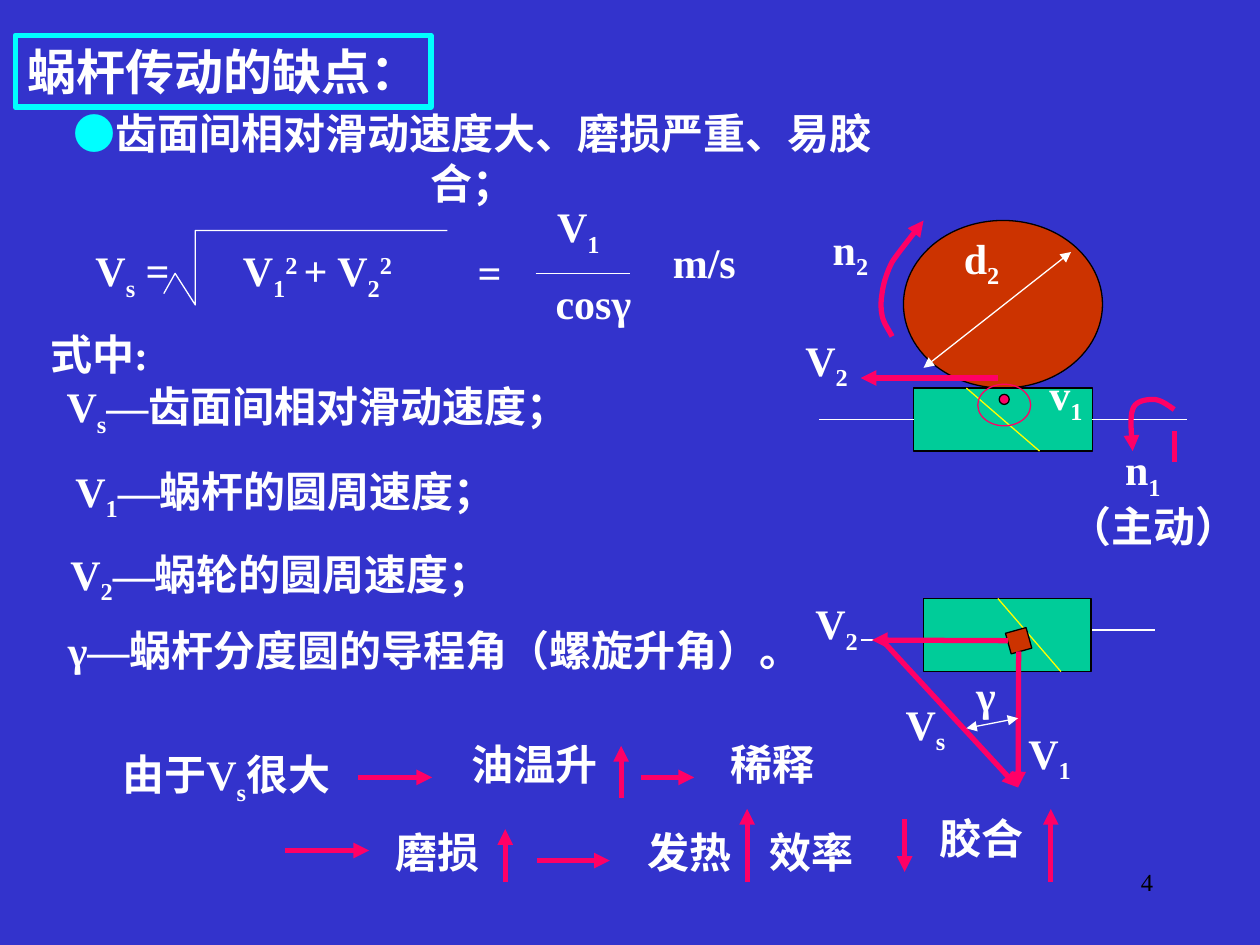
"""Build the slide on the drawbacks of worm gearing."""
from lxml import etree
from pptx import Presentation
from pptx.dml.color import RGBColor
from pptx.enum.shapes import MSO_CONNECTOR, MSO_SHAPE
from pptx.enum.text import MSO_ANCHOR, MSO_AUTO_SIZE, PP_ALIGN
from pptx.oxml.ns import qn
from pptx.util import Inches, Pt

LEFT, CENTER, RIGHT = PP_ALIGN.LEFT, PP_ALIGN.CENTER, PP_ALIGN.RIGHT
TOP, MIDDLE = MSO_ANCHOR.TOP, MSO_ANCHOR.MIDDLE
RECT, OVAL = MSO_SHAPE.RECTANGLE, MSO_SHAPE.OVAL
STRAIGHT = MSO_CONNECTOR.STRAIGHT
NO_FIT = MSO_AUTO_SIZE.NONE

THEME = {
    "font": "Times New Roman",
    "title": 28, "body": 24, "number": 14,
    "thin": 0.75, "thick": 3,
    "back": "3333CC", "white": "FFFFFF", "black": "000000", "cyan": "00FFFF",
    "pink": "FF0066", "yellow": "FFFF00", "wheel": "CC3300", "worm": "00CC99",
}
BASELINES = {"_": "-25000", "^": "30000"}

TITLE = "蜗杆传动的缺点："
TITLE_BOX = (0.12, 0.28, 3.3, 0.57)
DRAWBACK = "齿面间相对滑动速度大、磨损严重、易胶合；"
DRAWBACK_BOX = (0.17, 1, 7.16, 0.5)
PAGE_NUMBER = "4"
PAGE_NUMBER_BOX = (7.17, 6.83, 2.08, 0.5)

LABELS = [
    ((7.55, 1.79, 0.48, 0.56), ["d", "_2"]),
    ((8.83, 3.47, 0.48, 0.56), ["n", "_1"]),
    ((8.39, 3.92, 1.53, 0.5), ["（主动）"]),
    ((6.51, 1.72, 0.48, 0.56), ["n", "_2"]),
    ((6.29, 2.6, 0.54, 0.56), ["V", "_2"]),
    ((8.23, 2.87, 0.46, 0.56), ["v", "_1"]),
    ((6.37, 4.69, 0.54, 0.56), ["V", "_2"]),
    ((8.06, 5.72, 0.54, 0.56), ["V", "_1"]),
    ((7.09, 5.49, 0.51, 0.56), ["V", "_s"]),
    ((7.65, 5.26, 0.35, 0.5), ["γ"]),
    ((3.69, 1.91, 0.39, 0.5), ["="]),
    ((4.32, 1.54, 0.54, 0.56), ["V", "_1"]),
    ((4.31, 2.15, 0.8, 0.5), ["cosγ"]),
    ((5.24, 1.83, 0.7, 0.5), ["m/s"]),
    ((0.79, 5.89, 2.01, 0.56), ["由于V", "_s", "很大"]),
    ((3.64, 5.81, 1.2, 0.5), ["油温升"]),
    ((5.7, 5.81, 0.86, 0.5), ["稀释"]),
    ((3.04, 6.51, 0.86, 0.5), ["磨损"]),
    ((5.04, 6.51, 0.86, 0.5), ["发热"]),
    ((6.01, 6.51, 0.86, 0.5), ["效率"]),
    ((7.36, 6.4, 0.86, 0.5), ["胶合"]),
]
STATEMENTS = [
    ((0.66, 1.89, 1, 0.56), ["V", "_s", " ="]),
    ((1.83, 1.89, 1.6, 0.56), ["V", "_1", "^2 ", "+ V", "_2", "^2"]),
    ((0.3, 2.56, 1.3, 0.5), ["式中:"]),
    ((0.43, 2.97, 4.56, 0.56), ["V", "_s", "—齿面间相对滑动速度；"]),
    ((0.5, 3.64, 4, 0.56), ["V", "_1", "—蜗杆的圆周速度；"]),
    ((0.46, 4.3, 4, 0.56), ["V", "_2", "—蜗轮的圆周速度；"]),
    ((0.44, 4.91, 6.6, 0.5), ["γ—蜗杆分度圆的导程角（螺旋升角）。"]),
]

RADICAL = [(1.3, 2.33), (1.39, 2.17), (1.55, 2.42), (1.55, 1.83), (3.55, 1.83)]
WORM_TURN = [(9.32, 3.25), (9.26, 3.21), (9.21, 3.17), (9.15, 3.17), (9.1, 3.17),
             (9.01, 3.18), (8.99, 3.25), (8.96, 3.32), (8.99, 3.53), (8.99, 3.58)]
WHEEL_TURN = [(7.08, 2.67), (7.05, 2.61), (7.01, 2.56), (7, 2.5), (6.99, 2.44),
              (6.99, 2.4), (7, 2.33), (7.01, 2.26), (7.03, 2.18), (7.08, 2.08),
              (7.14, 1.99), (7.24, 1.87), (7.33, 1.75)]
ANGLE_ARC = [(8.08, 5.7), (8.08, 5.7), (7.88, 5.74), (7.67, 5.78)]

FLOW_ARROWS = [
    (2.84, 6.17, 3.43, 6.17), (4.93, 6.33, 4.93, 5.92), (5.09, 6.17, 5.51, 6.17),
    (2.26, 6.75, 2.93, 6.75), (4.01, 7, 4.01, 6.58), (4.26, 6.83, 4.84, 6.83),
    (5.93, 7, 5.93, 6.42), (8.34, 7, 8.34, 6.42), (7.18, 6.5, 7.18, 6.92),
]


def color(name):
    return RGBColor.from_string(THEME[name])


def style_line(part, name, width, ends=()):
    part.line.color.rgb = color(name)
    part.line.width = Pt(THEME[width])
    for end in ends:
        etree.SubElement(part.line._get_or_add_ln(), qn(f"a:{end}"), type="triangle")


def add_figure(slide, kind, box, fill=None, outline="black"):
    figure = slide.shapes.add_shape(kind, *map(Inches, box))
    figure.shadow.inherit = False
    if fill:
        figure.fill.solid()
        figure.fill.fore_color.rgb = color(fill)
    else:
        figure.fill.background()
    style_line(figure, outline, "thin")
    return figure


def add_line(slide, ends, name="white", width="thin", heads=(), start=None):
    line = slide.shapes.add_connector(STRAIGHT, *map(Inches, ends))
    style_line(line, name, width, heads)
    etree.SubElement(line._element.spPr, qn("a:effectLst"))
    if start:
        line.begin_connect(*start)
    return line


def add_arrow(slide, ends, start=None):
    return add_line(slide, ends, "pink", "thick", ["tailEnd"], start)


def bezier(knots, steps=10):
    """Sample a chain of cubic curves."""
    points = [knots[0]]
    for first in range(0, len(knots) - 1, 3):
        a, b, c, d = knots[first:first + 4]
        for step in range(1, steps + 1):
            t = step / steps
            u = 1 - t
            points.append(tuple(u**3 * p + 3 * u * u * t * q + 3 * u * t * t * r + t**3 * s
                                for p, q, r, s in zip(a, b, c, d)))
    return points


def add_outline(slide, points, name="white", width="thin", heads=()):
    points = [(Inches(x), Inches(y)) for x, y in points]
    builder = slide.shapes.build_freeform(*points[0])
    builder.add_line_segments(points[1:], close=False)
    outline = builder.convert_to_shape()
    outline.shadow.inherit = False
    outline.fill.background()
    style_line(outline, name, width, heads)


def write(frame, runs, size="body", align=LEFT, anchor=MIDDLE, wrap=False,
          side=0.1, name="white", bold=True):
    frame.auto_size = NO_FIT
    frame.word_wrap = wrap
    frame.vertical_anchor = anchor
    frame.margin_left = frame.margin_right = Inches(side)
    frame.margin_top = frame.margin_bottom = Inches(0.05)
    paragraph = frame.paragraphs[0]
    paragraph.alignment = align
    for text in runs:
        run = paragraph.add_run()
        run.text = text.lstrip("_^")
        run.font.name = THEME["font"]
        run.font.size = Pt(THEME[size])
        run.font.bold = bold
        run.font.color.rgb = color("cyan" if text == "●" else name)
        if text[0] in BASELINES:
            run._r.get_or_add_rPr().set("baseline", BASELINES[text[0]])


def add_text(slide, box, runs, **options):
    write(slide.shapes.add_textbox(*map(Inches, box)).text_frame, runs, **options)


def add_title(slide):
    title = slide.shapes.title
    title.left, title.top, title.width, title.height = map(Inches, TITLE_BOX)
    style_line(title, "cyan", "thick")
    write(title.text_frame, [TITLE], size="title", anchor=TOP)


def draw_gear_pair(slide):
    add_figure(slide, OVAL, (7.17, 1.75, 1.58, 1.33), "wheel")
    add_line(slide, (8.5, 2, 7.33, 2.92), heads=["headEnd", "tailEnd"])
    worm = add_figure(slide, RECT, (7.25, 3.08, 1.42, 0.5), "worm")
    add_line(slide, (7.25, 3.33, 6.5, 3.33), start=(worm, 1))
    add_line(slide, (7.67, 3.08, 8.25, 3.58), "yellow")
    add_line(slide, (8.67, 3.33, 9.42, 3.33), start=(worm, 3))
    add_outline(slide, bezier(WORM_TURN), "pink", "thick", ["tailEnd"])
    add_line(slide, (9.32, 3.42, 9.32, 3.67), "pink", "thick")
    add_outline(slide, bezier(WHEEL_TURN), "pink", "thick", ["tailEnd"])
    add_arrow(slide, (7.92, 3, 6.83, 3))
    add_figure(slide, OVAL, (7.76, 3.05, 0.42, 0.33), outline="pink")
    add_figure(slide, OVAL, (7.93, 3.13, 0.08, 0.08), "pink")


def draw_velocity_triangle(slide):
    add_figure(slide, RECT, (7.33, 4.75, 1.33, 0.58), "worm")
    add_line(slide, (8.67, 5, 9.17, 5))
    add_line(slide, (6.83, 5.08, 7.33, 5.08))
    add_line(slide, (7.92, 4.75, 8.42, 5.33), "yellow")
    tooth = add_figure(slide, RECT, (8, 5, 0.17, 0.17), "wheel")
    tooth.rotation = 344.5
    add_arrow(slide, (8, 5.08, 6.92, 5.08), start=(tooth, 1))
    add_arrow(slide, (8.08, 5.17, 8.08, 6.25), start=(tooth, 2))
    add_arrow(slide, (7, 5.08, 8.08, 6.25))
    add_outline(slide, bezier(ANGLE_ARC), heads=["headEnd", "tailEnd"])


def main():
    deck = Presentation()
    deck.slide_width, deck.slide_height = Inches(10), Inches(7.5)
    slide = deck.slides.add_slide(deck.slide_layouts[5])
    slide.background.fill.solid()
    slide.background.fill.fore_color.rgb = color("back")
    add_title(slide)
    add_text(slide, DRAWBACK_BOX, ["●", DRAWBACK], align=CENTER, wrap=True, side=0.28)
    draw_gear_pair(slide)
    draw_velocity_triangle(slide)
    add_outline(slide, RADICAL)
    add_line(slide, (4.25, 2.17, 5, 2.17))
    for box, runs in LABELS:
        add_text(slide, box, runs, align=CENTER)
    for box, runs in STATEMENTS:
        add_text(slide, box, runs, wrap=True)
    for ends in FLOW_ARROWS:
        add_arrow(slide, ends)
    add_text(slide, PAGE_NUMBER_BOX, [PAGE_NUMBER], size="number", align=RIGHT,
             anchor=TOP, wrap=True, name="black", bold=False)
    deck.save("out.pptx")


if __name__ == "__main__":
    main()
